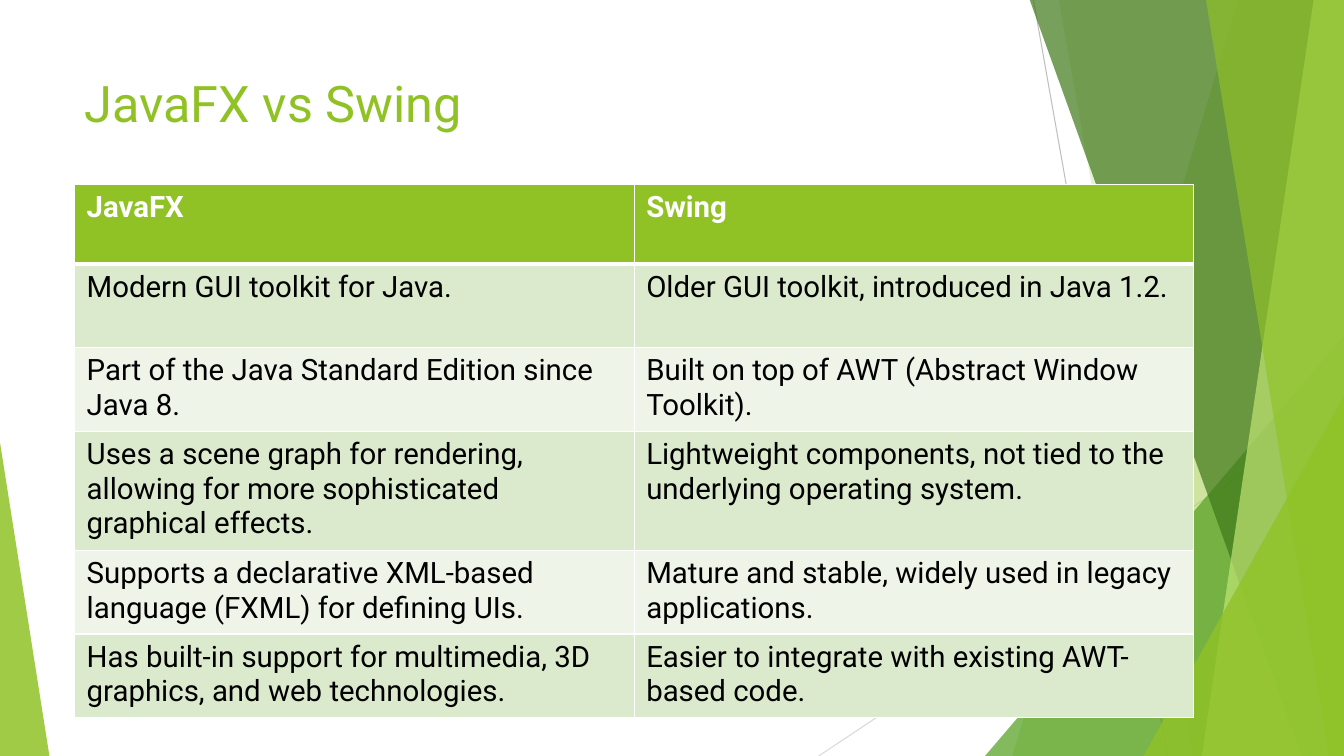
import pptx
import pptx.util
import pptx.dml.color
import pptx.enum.shapes
import pptx.enum.text
import pptx.oxml
import pptx.oxml.ns

PX = 9144  # EMU in one px, 100 px to the inch
WIDE, HIGH = 1333, 750
FONT = "Roboto"
COLORS = {
    "lime": "90C226", "green": "54A021", "dark": "3F7819", "pale": "C0E474",
    "gray": "BFBFBF", "light": "D9D9D9", "white": "FFFFFF", "black": "000000",
    "odd": "DBE9CD", "even": "EEF4E8",
}
ROWS = [
    ("JavaFX", "Swing"),
    ("Modern GUI toolkit for Java.",
     "Older GUI toolkit, introduced in Java 1.2."),
    ("Part of the Java Standard Edition since Java 8.",
     "Built on top of AWT (Abstract Window Toolkit)."),
    ("Uses a scene graph for rendering, allowing for more sophisticated "
     "graphical effects.",
     "Lightweight components, not tied to the underlying operating system."),
    ("Supports a declarative XML-based language (FXML) for defining UIs.",
     "Mature and stable, widely used in legacy applications."),
    ("Has built-in support for multimedia, 3D graphics, and web technologies.",
     "Easier to integrate with existing AWT-based code."),
]
HEIGHTS = [79, 83, 83, 118, 83, 83]


def px(*nums):
    return [pptx.util.Emu(num * PX) for num in nums]


def rgb(name):
    return pptx.dml.color.RGBColor.from_string(COLORS[name])


def add_sub(node, tag, **attrs):
    sub = pptx.oxml.ns.qn(tag)
    sub = node.makeelement(sub, attrs)
    node.append(sub)
    return sub


def style_font(para, size, color, bold=False):
    font = para.font
    font.name, font.size, font.bold = FONT, pptx.util.Pt(size), bold
    font.color.rgb = rgb(color)


def add_line(slide, ends, color):
    kind = pptx.enum.shapes.MSO_CONNECTOR.STRAIGHT
    line = slide.shapes.add_connector(kind, *px(*ends))
    line.line.color.rgb = rgb(color)
    line.line.width = pptx.util.Pt(0.75)
    add_sub(line.element.spPr, "a:effectLst")


def paint(shape, color, alpha):
    shape.shadow.inherit = False
    shape.line.fill.background()
    shape.fill.solid()
    shape.fill.fore_color.rgb = rgb(color)
    tint = shape.element.spPr.find(".//" + pptx.oxml.ns.qn("a:srgbClr"))
    add_sub(tint, "a:alpha", val=str(alpha * 1000))


def add_facet(slide, top, foot, color, alpha):
    """Four-sided band from its top and foot to the right slide edge."""
    form = slide.shapes.build_freeform(top, -1, scale=PX)
    form.add_line_segments([(WIDE, -1), (WIDE, HIGH), (foot, HIGH)], close=True)
    paint(form.convert_to_shape(), color, alpha)


def add_wedge(slide, left, top, width, peak, color, alpha):
    """Triangle that stands on the slide foot."""
    kind = pptx.enum.shapes.MSO_SHAPE.ISOSCELES_TRIANGLE
    wedge = slide.shapes.add_shape(kind, *px(left, top, width, HIGH - top))
    wedge.adjustments[0] = peak
    paint(wedge, color, alpha)


def set_title(slide, text):
    title = slide.shapes.title
    title.left, title.top, title.width, title.height = px(74, 67, 940, 144)
    title.element.getparent().append(title.element)  # above the facets
    frame = title.text_frame
    frame.text = text
    frame.word_wrap = True
    frame.vertical_anchor = pptx.enum.text.MSO_ANCHOR.TOP
    para = frame.paragraphs[0]
    para.alignment = pptx.enum.text.PP_ALIGN.LEFT
    style_font(para, 36, "lime")


def set_edges(cell, row):
    props = cell._tc.get_or_add_tcPr()
    thick = {0: "B", 1: "T"}.get(row)  # rule below the header
    for side in "LRTB":
        width = pptx.util.Pt(3 if side == thick else 1)
        edge = add_sub(props, "a:ln" + side, w=str(width))
        fill = add_sub(edge, "a:solidFill")
        add_sub(fill, "a:srgbClr", val=COLORS["white"])


def fill_cell(cell, text, row):
    head = row == 0
    set_edges(cell, row)
    cell.fill.solid()
    cell.fill.fore_color.rgb = rgb(
        "lime" if head else "odd" if row % 2 else "even")
    cell.margin_left, cell.margin_right = px(12, 12)
    cell.margin_top, cell.margin_bottom = px(6, 6)
    cell.text = text
    style_font(cell.text_frame.paragraphs[0], 21,
               "white" if head else "black", head)


def add_grid(slide):
    frame = slide.shapes.add_table(
        len(ROWS), 2, *px(74, 183, 1110, sum(HEIGHTS)))
    table = frame.table
    for col in table.columns:
        col.width = px(555)[0]
    for row, (texts, height) in enumerate(zip(ROWS, HEIGHTS)):
        table.rows[row].height = px(height)[0]
        for col, text in enumerate(texts):
            fill_cell(table.cell(row, col), text, row)


def main():
    deck = pptx.Presentation()
    deck.slide_width, deck.slide_height = px(WIDE, HIGH)
    slide = deck.slides.add_slide(deck.slide_layouts[5])

    # Backdrop
    add_line(slide, (1025, 0, 1158, HIGH), "gray")
    add_line(slide, (WIDE, 403, 812, HIGH), "light")
    add_facet(slide, 1228, 1004, "lime", 30)
    add_facet(slide, 1050, 1183, "lime", 20)
    add_wedge(slide, 977, 333, 356, 1, "green", 72)
    add_facet(slide, 1021, 1291, "dark", 70)
    add_facet(slide, 1303, 1192, "pale", 70)
    add_facet(slide, 1196, 1318, "lime", 65)
    add_wedge(slide, 1134, 393, 199, 1, "lime", 80)
    add_wedge(slide, 0, 439, 49, 0, "lime", 85)

    # Content
    set_title(slide, "JavaFX vs Swing")
    add_grid(slide)
    deck.save("out.pptx")


if __name__ == "__main__":
    main()
